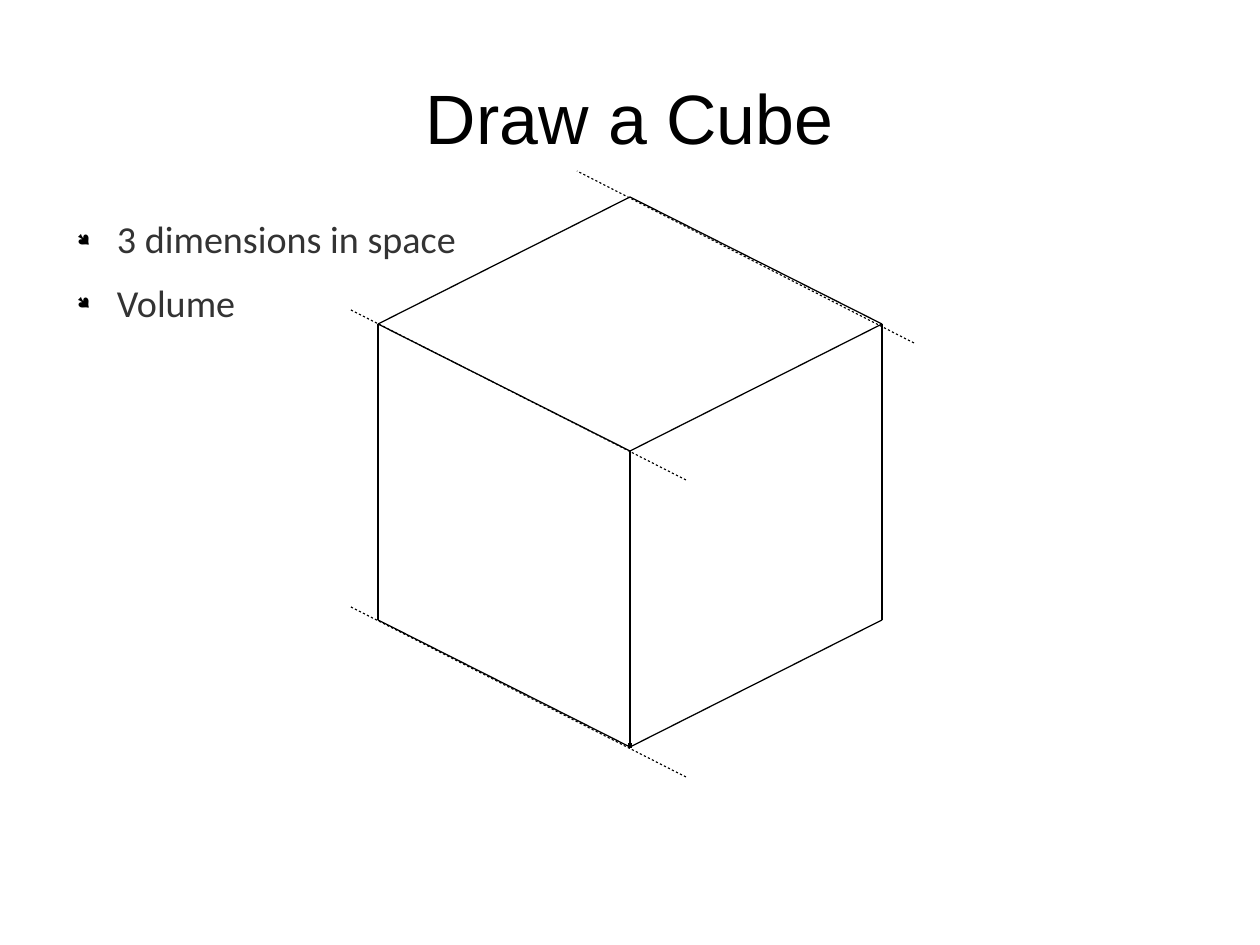
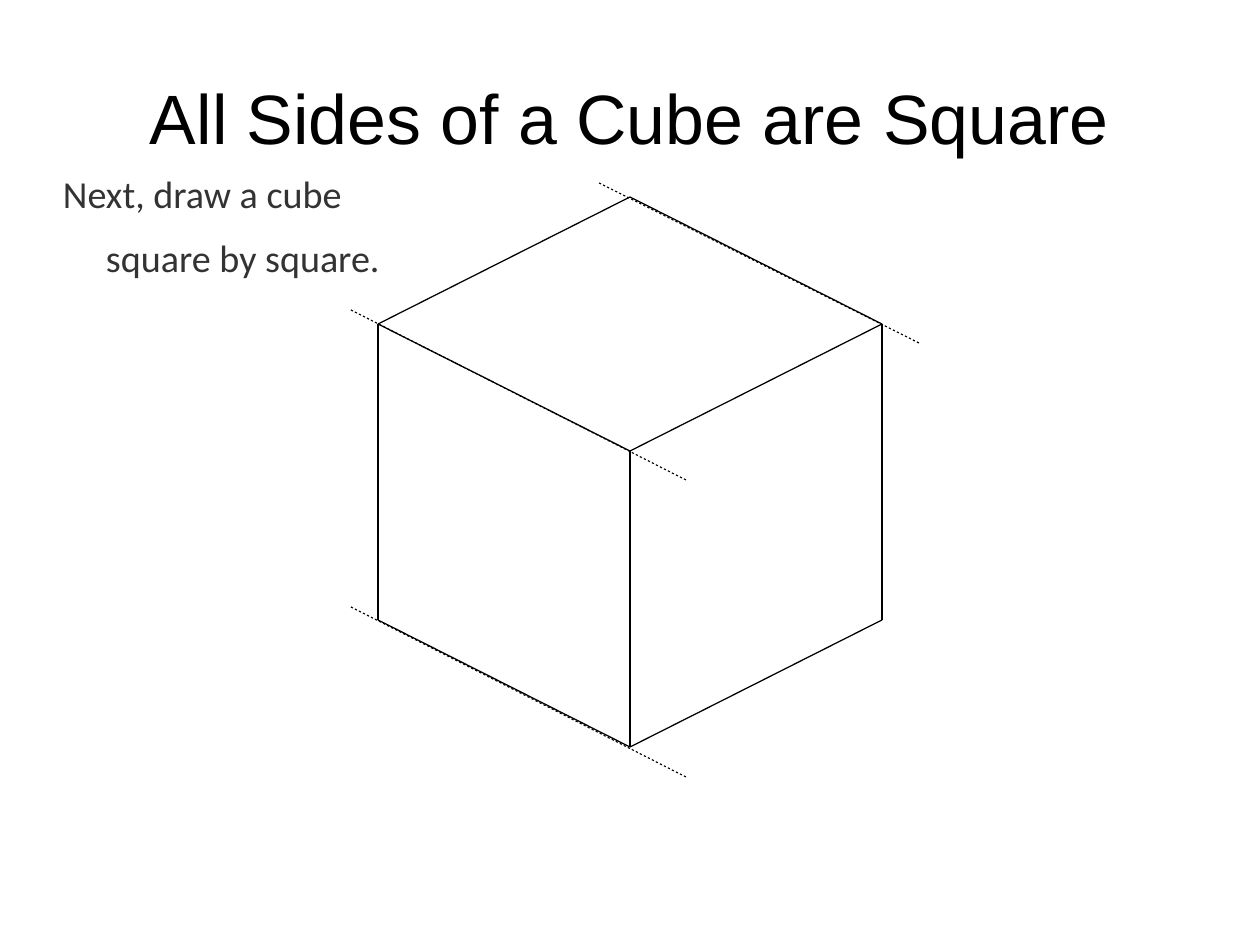
import pptx
import pptx.util
import pptx.dml.color
import pptx.enum.shapes
import pptx.enum.text
import pptx.oxml.ns
import lxml.etree

PX = 8000
COLORS = {"ink": "000000", "body": "333333", "paper": "FFFFFF"}
ALIGN = pptx.enum.text.PP_ALIGN
ANCHOR = pptx.enum.text.MSO_ANCHOR


def px(length):
    return pptx.util.Emu(length * PX)


def rgb(name):
    return pptx.dml.color.RGBColor.from_string(COLORS[name])


def add_child(parent, tag, **attributes):
    return lxml.etree.SubElement(parent, pptx.oxml.ns.qn(tag), **attributes)


def write(paragraph, text, *, font, size, color, align=ALIGN.LEFT,
          line_spacing=None, after=0, margin=0, indent=0, bullet=None):
    properties = paragraph._p.get_or_add_pPr()
    properties.set("marL", str(px(margin)))
    properties.set("indent", str(px(indent)))
    if bullet:
        add_child(add_child(properties, "a:buClr"), "a:srgbClr", val=COLORS["ink"])
        add_child(properties, "a:buSzPct", val="45000")
        add_child(properties, "a:buFont", typeface="Wingdings", charset="2")
        add_child(properties, "a:buChar", char=bullet)
    else:
        add_child(properties, "a:buNone")
    paragraph.alignment = align
    paragraph.line_spacing = line_spacing
    paragraph.space_after = pptx.util.Pt(after)
    run = paragraph.add_run()
    run.text = text
    run.font.name = font
    run.font.size = pptx.util.Pt(size)
    run.font.color.rgb = rgb(color)


class Deck:
    title_style = dict(font="Arial", size=44, color="ink", align=ALIGN.CENTER)
    body_style = dict(font="Calibri", size=24, color="body",
                      line_spacing=0.9, after=14.1)
    left, width = 63, 1134

    def __init__(self):
        self.presentation = pptx.Presentation()
        self.presentation.slide_width = px(1260)
        self.presentation.slide_height = px(945)
        self.slide = None

    def new_slide(self):
        self.slide = self.presentation.slides.add_slide(
            self.presentation.slide_layouts[6])
        background = self.slide.background.fill
        background.solid()
        background.fore_color.rgb = rgb("paper")

    def frame(self, top, height, anchor):
        box = self.slide.shapes.add_textbox(
            px(self.left), px(top), px(self.width), px(height))
        frame = box.text_frame
        frame.word_wrap = True
        frame.vertical_anchor = anchor
        frame.margin_left = frame.margin_right = 0
        frame.margin_top = frame.margin_bottom = 0
        return frame

    def title(self, text):
        frame = self.frame(38, 158, ANCHOR.MIDDLE)
        write(frame.paragraphs[0], text, **self.title_style)

    def body(self, top, lines):
        frame = self.frame(top, 624, ANCHOR.TOP)
        for number, (text, layout) in enumerate(lines):
            paragraph = frame.add_paragraph() if number else frame.paragraphs[0]
            write(paragraph, text, **self.body_style, **layout)

    def line(self, start, end, weight=0.79):
        connector = self.slide.shapes.add_connector(
            pptx.enum.shapes.MSO_CONNECTOR.STRAIGHT,
            *(px(value) for value in (*start, *end)))
        connector.line.color.rgb = rgb("ink")
        connector.line.width = pptx.util.Pt(weight)
        add_child(connector._element.spPr, "a:effectLst")
        return connector

    def guide(self, start, end):
        outline = self.line(start, end, 0.71).line._get_or_add_ln()
        add_child(add_child(outline, "a:custDash"), "a:ds", d="200000", sp="200000")

    def cube(self, back_guide):
        center, half_width, top, slope, height = 630, 252, 197, 127, 296
        back = (center, top)
        left = (center - half_width, top + slope)
        right = (center + half_width, top + slope)
        front = (center, top + 2 * slope)
        low_left, low_front, low_right = (
            (x, y + height) for x, y in (left, front, right))
        outline = [low_left, low_front, low_right, right, back, left, low_left]
        for start, end in zip(outline, outline[1:]):
            self.line(start, end)
        for corner in (left, right, low_front):
            self.line(front, corner)
        for drop in (0, 297):
            self.guide((686, 480 + drop), (349, 309 + drop))
        self.guide(*back_guide)


def main():
    deck = Deck()

    deck.new_slide()
    deck.cube(back_guide=((914, 343), (577, 171)))
    deck.line((630, 743), (630, 748), weight=2.15)
    deck.title("Draw a Cube")
    bulleted = dict(margin=54, indent=-40, bullet="●")
    deck.body(221, [("3 dimensions in space", bulleted), ("Volume", bulleted)])

    deck.new_slide()
    deck.cube(back_guide=((919, 343), (599, 183)))
    deck.title("All Sides of a Cube are Square")
    deck.body(176, [("Next, draw a cube", {}),
                    ("square by square.", dict(margin=43))])

    deck.presentation.save("out.pptx")


if __name__ == "__main__":
    main()
